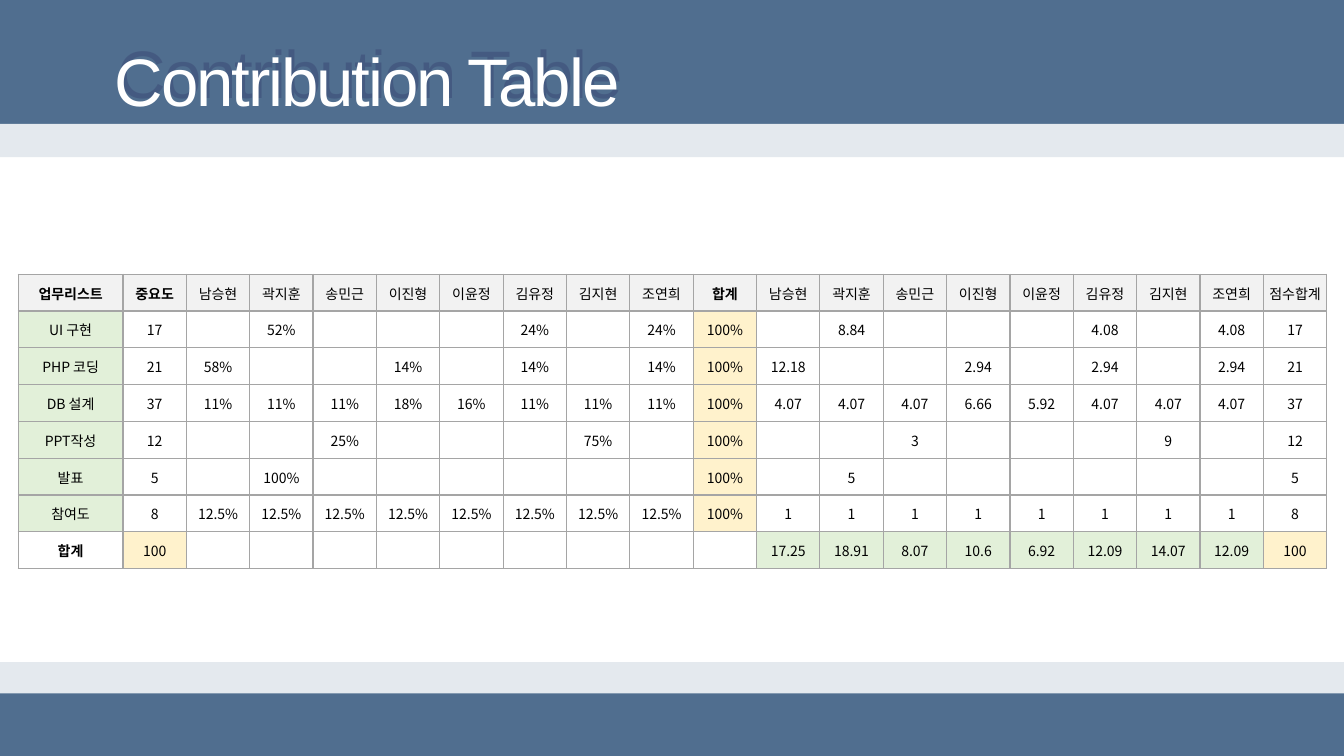
from lxml.etree import SubElement
from pptx import Presentation
from pptx.dml.color import RGBColor
from pptx.enum.shapes import MSO_SHAPE as SHAPE
from pptx.enum.text import MSO_ANCHOR as ANCHOR, MSO_AUTO_SIZE as AUTO, PP_ALIGN as ALIGN
from pptx.oxml import parse_xml
from pptx.oxml.ns import nsdecls, qn
from pptx.util import Inches, Pt

WIDTH, HEIGHT = 13.33, 7.5
BLUE, WHITE, BLACK = "32557C", "FFFFFF", "000000"
GRAY, GREEN, YELLOW, BORDER = "F2F2F2", "E2F0D9", "FFF2CC", "A5A5A5"
TABLE_FONT = "Noto Sans CJK KR"
MEMBERS = ["남승현", "곽지훈", "송민근", "이진형", "이윤정", "김유정", "김지현", "조연희"]
TASKS = [
    ("UI 구현", 17, [0, 52, 0, 0, 0, 24, 0, 24]),
    ("PHP 코딩", 21, [58, 0, 0, 14, 0, 14, 0, 14]),
    ("DB 설계", 37, [11, 11, 11, 18, 16, 11, 11, 11]),
    ("PPT작성", 12, [0, 0, 25, 0, 0, 0, 75, 0]),
    ("발표", 5, [0, 100, 0, 0, 0, 0, 0, 0]),
    ("참여도", 8, [12.5] * 8),
]


def rgb(color):
    """Turn a hex string into a colour."""
    return RGBColor.from_string(color)


def set_alpha(fill_parent, percent):
    """Make the solid fill under an element partly transparent."""
    clr = next(fill_parent.iter(qn("a:srgbClr")))
    SubElement(clr, qn("a:alpha"), val=str(percent * 1000))


def format_run(r, color, **formats):
    """Set the colour and the font attributes of a run."""
    r.font.color.rgb = rgb(color)
    for name, value in formats.items():
        setattr(r.font, name, value)


def add_band(shapes, box, color):
    """Add a translucent band without an outline."""
    sp = shapes.add_shape(SHAPE.RECTANGLE, *map(Inches, box))
    sp.shadow.inherit = False
    sp.fill.solid()
    sp.fill.fore_color.rgb = rgb(color)
    sp.line.fill.background()
    set_alpha(sp._element.spPr, 85)


def add_title_layer(shapes, box, text, color, wrap, alpha=None):
    """Add one layer of the title."""
    tf = shapes.add_textbox(*map(Inches, box)).text_frame
    tf.word_wrap = wrap
    tf.auto_size = AUTO.SHAPE_TO_FIT_TEXT
    r = tf.paragraphs[0].add_run()
    r.text = text
    format_run(r, color, size=Pt(48), name="Arial")
    rPr = r._r.get_or_add_rPr()
    rPr.set("spc", "-150")
    if alpha:
        set_alpha(rPr, alpha)


def add_title(shapes, box, text):
    """Add the title with its offset echo behind it."""
    left, top, width, height = box
    group = shapes.add_group_shape().shapes
    add_title_layer(group, (left + 0.03, top - 0.08, width + 0.35, height), text, "3A4874", True, 50)
    add_title_layer(group, box, text, WHITE, False)


def contribution_rows():
    """Work out the weighted scores and totals of the table."""
    def show(value, unit=""):
        return f"{round(value, 2):g}{unit}" if value else ""

    rows = [["업무리스트", "중요도", *MEMBERS, "합계", *MEMBERS, "점수합계"]]
    totals = [0] * len(MEMBERS)
    for task, weight, shares in TASKS:
        scores = [weight * share / 100 for share in shares]
        totals = [total + score for total, score in zip(totals, scores)]
        rows.append([task, show(weight), *(show(s, "%") for s in shares), show(sum(shares), "%"),
                     *map(show, scores), show(sum(scores))])
    weights = show(sum(weight for _, weight, _ in TASKS))
    blanks = [""] * (len(MEMBERS) + 1)
    rows.append(["합계", weights, *blanks, *map(show, totals), show(sum(totals))])
    return rows


def cell_color(row, col, last_row, last_col):
    """Choose the fill of a table cell."""
    share_total = len(MEMBERS) + 2
    if row == 0:
        return GRAY
    if row == last_row:
        if col in (1, last_col):
            return YELLOW
        return GREEN if col > share_total else None
    return {0: GREEN, share_total: YELLOW}.get(col)


def fill_cell(cell, text, color, bold):
    """Write and format one bordered table cell."""
    for name, value in dict(margin_left=0.01, margin_right=0.01, margin_top=0.01, margin_bottom=0).items():
        setattr(cell, name, Inches(value))
    cell.vertical_anchor = ANCHOR.MIDDLE
    if color:
        cell.fill.solid()
        cell.fill.fore_color.rgb = rgb(color)
    else:
        cell.fill.background()
    tcPr = cell._tc.get_or_add_tcPr()
    for i, side in enumerate("LRTB"):
        tcPr.insert(i, parse_xml(
            f'<a:ln{side} {nsdecls("a")} w="12700"><a:solidFill><a:srgbClr val="{BORDER}"/>'
            f'</a:solidFill></a:ln{side}>'))
    p = cell.text_frame.paragraphs[0]
    p.alignment = ALIGN.CENTER
    if text:
        r = p.add_run()
        r.text = text
        format_run(r, BLACK, size=Pt(10), name=TABLE_FONT, bold=bold)
        SubElement(r._r.get_or_add_rPr(), qn("a:ea"), typeface=TABLE_FONT)


def add_contribution_table(shapes, box):
    """Add the table of shares and scores."""
    left, top, width, height = box
    rows = contribution_rows()
    last_row, last_col = len(rows) - 1, len(rows[0]) - 1
    table = shapes.add_table(len(rows), len(rows[0]), *map(Inches, box)).table
    table.first_row = table.horz_banding = False
    task_width = 1.04
    for i, column in enumerate(table.columns):
        column.width = Inches((width - task_width) / last_col if i else task_width)
    for i, row in enumerate(rows):
        table.rows[i].height = Inches(height / len(rows))
        for j, text in enumerate(row):
            bold = text in ("업무리스트", "중요도", "합계")
            fill_cell(table.cell(i, j), text, cell_color(i, j, last_row, last_col), bold)


def build_contribution_slide(prs):
    """Build the contribution slide."""
    shapes = prs.slides.add_slide(prs.slide_layouts[6]).shapes
    add_band(shapes, (0, 6.57, WIDTH, 0.93), BLUE)
    add_band(shapes, (0, 0, WIDTH, 1.56), BLUE)
    add_title(shapes, (1.04, 0.34, 5.24, 0.91), "Contribution Table")
    add_band(shapes, (0, 1.23, WIDTH, 5.65), WHITE)
    add_contribution_table(shapes, (0.18, 2.72, 12.98, 2.92))


def main():
    """Create and save the presentation."""
    prs = Presentation()
    prs.slide_width, prs.slide_height = Inches(WIDTH), Inches(HEIGHT)
    build_contribution_slide(prs)
    prs.save("out.pptx")


if __name__ == "__main__":
    main()
